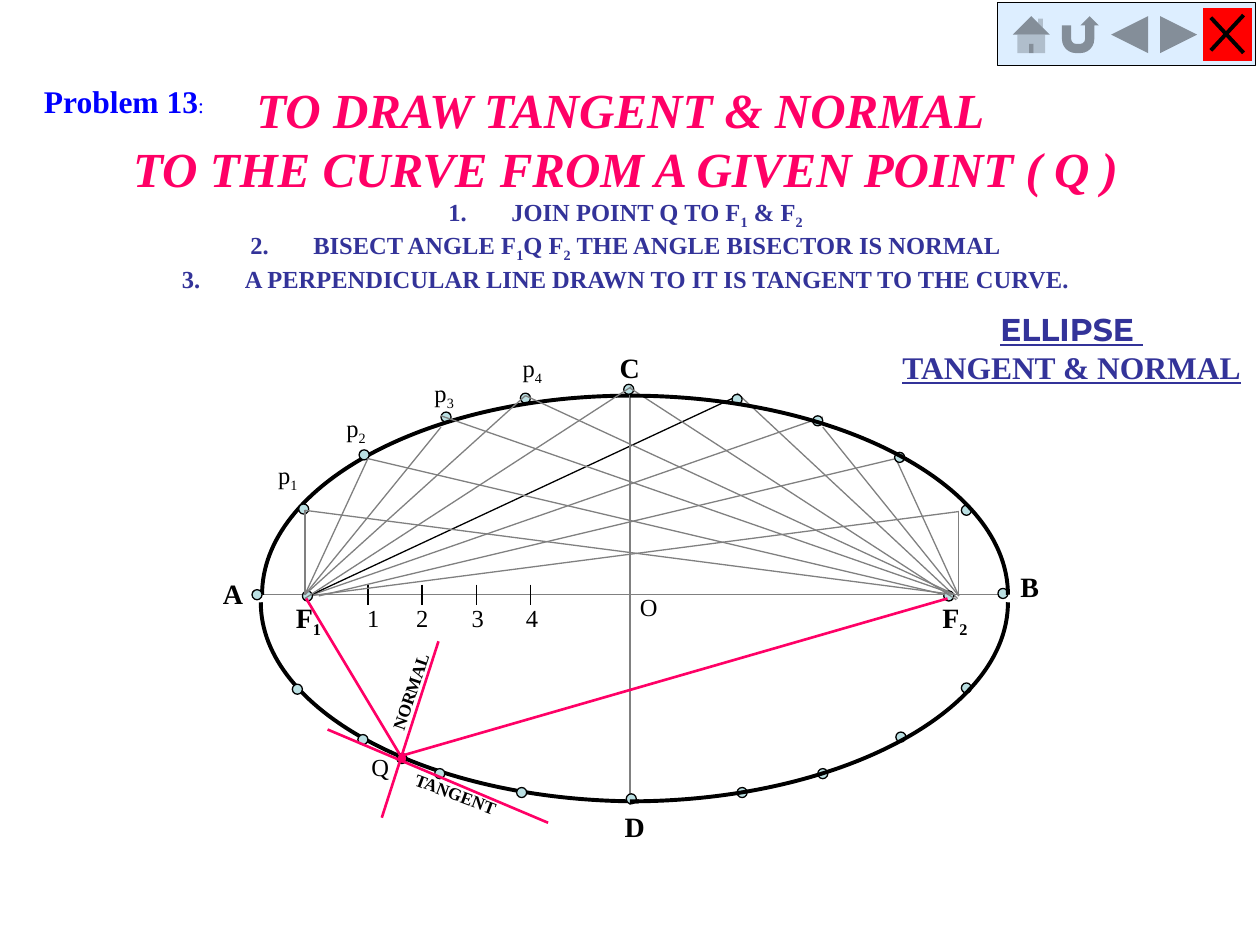
from lxml.etree import SubElement
from pptx import Presentation
from pptx.dml.color import RGBColor
from pptx.enum.shapes import MSO_CONNECTOR, MSO_SHAPE as SHAPE
from pptx.enum.text import MSO_AUTO_SIZE, PP_ALIGN
from pptx.oxml.ns import qn
from pptx.util import Inches, Pt

COLS, ROWS = 100, 75
CELL = Inches(0.1)
SERIF = "Times New Roman"
BLACK = RGBColor(0x00, 0x00, 0x00)
GRAY = RGBColor(0x80, 0x80, 0x80)
PINK = RGBColor(0xFF, 0x00, 0x66)
NAVY = RGBColor(0x33, 0x33, 0x99)
BLUE = RGBColor(0x00, 0x00, 0xFF)
AQUA = RGBColor(0xBB, 0xE0, 0xE3)
PALE = RGBColor(0xDD, 0xEE, 0xFF)
RED = RGBColor(0xFF, 0x00, 0x00)

DOT = 0.8
BEZIER = 0.55  # control arm of a quarter ellipse, as a share of its radius
Q = (31.8, 60)
# (start on the curve, end at a focus)
RIGHT_RAYS = [
    ((76.1, 47.3), (76.1, 40.6)), ((76.1, 40.6), (24.5, 47.3)),
    ((76.1, 47.3), (71.1, 36.4)), ((71.1, 36.4), (25.3, 47.3)),
    ((76.1, 47.3), (65.3, 33.9)), ((65.3, 33.1), (24.5, 47.3)),
    ((58.5, 31.2), (76, 47.5)),
]
LEFT_RAYS = [
    ((24.2, 40.5), (75.8, 47.2)), ((29.2, 36.4), (75, 47.2)),
    ((24.2, 47.2), (24.2, 40.5)), ((24.2, 47.2), (29.2, 36.4)),
    ((24.2, 47.2), (35, 33.9)), ((35, 33), (75.8, 47.2)),
    ((24.2, 47.2), (41.7, 31.4)), ((41.7, 31.4), (75.8, 47.2)),
]
TOP_RAYS = [((24.2, 47.5), (50.1, 30.7)), ((50, 30.8), (75.9, 47.6))]
DOTS_UNDER_CURVE = [(35.4, 33.1), (41.7, 31.6)]
DOTS = [
    (24.4, 47.3), (20.4, 47.2), (50.1, 63.4), (79.6, 47.1), (49.9, 30.9), (75.3, 47.3),
    (24.1, 40.4), (28.9, 36.1), (76.7, 40.5), (71.4, 36.3), (64.9, 33.4), (58.5, 31.7),
    (76.7, 54.6), (71.5, 58.5), (65.3, 61.4), (58.9, 62.9),
    (23.6, 54.7), (28.8, 58.7), (34.9, 61.4), (41.4, 62.9),
]
# (vertex on the minor axis, vertex on the major axis)
LEFT_QUARTERS = [((50, 31.4), (20.8, 47.2)), ((50.7, 63.6), (20.7, 47.8))]
RIGHT_QUARTERS = [((50, 63.6), (80, 47.8)), ((50, 31.4), (80, 47.2))]
POINT_LABELS = [
    ("A", 16.7, 45.3), ("B", 80, 44.7), ("C", 48.2, 27.3), ("D", 48.6, 63.8),
    ("F_1", 22.5, 47.2), ("F_2", 73.8, 47.2),
]
ARC_LABELS = [
    ("p_1", 21.1, 36), ("p_2", 26.5, 32.3), ("p_3", 33.5, 29.5),
    ("p_4", 40.5, 27.5), ("O", 49.8, 46.5),
]
STEPS = [
    "JOIN POINT Q TO F_1_ & F_2",
    "BISECT ANGLE F_1_Q F_2_ THE ANGLE BISECTOR IS NORMAL",
    "A PERPENDICULAR LINE DRAWN TO IT IS TANGENT TO THE CURVE.",
]


def cells(*values):
    return [round(v * CELL) for v in values]


def add_line(shapes, start, end, color=GRAY, width=0.75):
    ln = shapes.add_connector(MSO_CONNECTOR.STRAIGHT, *cells(*start, *end))
    ln.line.color.rgb = color
    ln.line.width = Pt(width)
    SubElement(ln._element.spPr, qn("a:effectLst"))


def add_preset(shapes, kind, box, fill, line_width=None):
    sp = shapes.add_shape(kind, *cells(*box))
    sp.shadow.inherit = False
    sp.fill.solid()
    sp.fill.fore_color.rgb = fill
    if line_width:
        sp.line.color.rgb = BLACK
        sp.line.width = Pt(line_width)
    else:
        sp.line.fill.background()


def add_dot(shapes, center, fill=AQUA):
    x, y = center
    add_preset(shapes, SHAPE.OVAL, (x - DOT / 2, y - DOT / 2, DOT, DOT), fill, 0.75)


def add_quarter(shapes, minor, major):
    """Draw a quarter ellipse as one cubic curve between two vertices."""
    (x0, y0), (x1, y1) = minor, major
    arm_x = x0 + BEZIER * (x1 - x0)
    arm_y = y1 + BEZIER * (y0 - y1)
    fb = shapes.build_freeform(*cells(x0, y0))
    fb.add_line_segments([cells(arm_x, y0), cells(x1, arm_y), cells(x1, y1)], close=False)
    sp = fb.convert_to_shape()
    segments = list(sp._element.iter(qn("a:lnTo")))
    curve = SubElement(segments[0].getparent(), qn("a:cubicBezTo"))
    for segment in segments:
        curve.append(segment[0])
        segment.getparent().remove(segment)
    sp.shadow.inherit = False
    sp.fill.background()
    sp.line.color.rgb = BLACK
    sp.line.width = Pt(2.25)


def add_box(shapes, box, rotation=0, wrap=False):
    tb = shapes.add_textbox(*cells(*box))
    tb.rotation = rotation
    tf = tb.text_frame
    tf.word_wrap = wrap
    tf.auto_size = MSO_AUTO_SIZE.SHAPE_TO_FIT_TEXT
    return tf


def add_runs(p, text, size, color=BLACK, bold=False, italic=False, underline=None, font=SERIF):
    """Add text in runs; every second part between underscores is a subscript."""
    for i, part in enumerate(text.split("_")):
        if not part:
            continue
        r = p.add_run()
        r.text = part
        f = r.font
        f.name, f.size, f.bold, f.italic, f.underline = font, Pt(size), bold, italic, underline
        f.color.rgb = color
        if i % 2:
            r._r.get_or_add_rPr().set("baseline", "-25000")


def add_label(shapes, text, box, size, bold=False, rotation=0):
    add_runs(add_box(shapes, box, rotation).paragraphs[0], text, size, bold=bold)


def add_tick_numbers(shapes):
    p = add_box(shapes, (28.15, 47.35, 16.6, 3.3), wrap=True).paragraphs[0]
    tabs = SubElement(p._p.get_or_add_pPr(), qn("a:tabLst"))
    for stop in (3.9, 8.3, 12.6):
        SubElement(tabs, qn("a:tab"), pos=str(cells(stop)[0]), algn="l")
    add_runs(p, "1\t2\t3\t4", 14)


def add_ellipse_figure(shapes):
    add_line(shapes, (20, 47.2), (80, 47.2))
    for x in (29.2, 33.5, 37.8, 42.1):
        add_line(shapes, (x, 46.4), (x, 48), BLACK)
    for center in DOTS_UNDER_CURVE:
        add_dot(shapes, center)
    for ray in RIGHT_RAYS:
        add_line(shapes, *ray)
    add_line(shapes, (58.6, 31.4), (24.5, 47.3), BLACK)
    for quarter in LEFT_QUARTERS:
        add_quarter(shapes, *quarter)
    add_line(shapes, (50, 30.5), (50, 63.9))
    for center in DOTS:
        add_dot(shapes, center)
    for ray in LEFT_RAYS + TOP_RAYS:
        add_line(shapes, *ray)
    for text, x, y in POINT_LABELS:
        add_label(shapes, text, (x, y, 4.1 if "_" in text else 3.6, 3.7), 16, bold=True)
    for text, x, y in ARC_LABELS:
        add_label(shapes, text, (x, y, 3.6, 3.3), 14)
    add_tick_numbers(shapes)
    for quarter in RIGHT_QUARTERS:
        add_quarter(shapes, *quarter)


def add_tangent_and_normal(shapes):
    add_dot(shapes, (31.9, 60.2), PINK)
    add_label(shapes, "Q", (28.5, 59.2, 3.4, 3.3), 14)
    for start, end in (
        ((24.3, 47.5), Q), (Q, (75.2, 47.5)),
        ((30.3, 64.9), (34.8, 50.9)), ((26, 57.9), (43.5, 65.3)),
    ):
        add_line(shapes, start, end, PINK, 1.5)
    add_label(shapes, "TANGENT", (31.8, 61.7, 8.9, 2.7), 10, True, 20.7)
    add_label(shapes, "NORMAL", (28.4, 53.5, 8.4, 2.7), 10, True, 288.8)


def add_title_and_steps(shapes):
    tf = add_box(shapes, (9.3, 5.8, 80.7, 17.3))
    titles = ["TO DRAW TANGENT & NORMAL ", "TO THE CURVE FROM A GIVEN POINT ( Q )"]
    for i, text in enumerate(titles + STEPS):
        p = tf.paragraphs[0] if i == 0 else tf.add_paragraph()
        p.alignment = PP_ALIGN.CENTER
        pPr = p._p.get_or_add_pPr()
        pPr.set("marL", str(Inches(0.5)))
        pPr.set("indent", str(-Inches(0.5)))
        if text in STEPS:
            SubElement(pPr, qn("a:buAutoNum"), type="arabicPeriod")
            add_runs(p, text, 14, NAVY, bold=True)
        else:
            add_runs(p, text, 28, PINK, bold=True, italic=True)


def add_headings(shapes):
    tf = add_box(shapes, (70.5, 24.15, 29.1, 7))
    for p, text, font in (
        (tf.paragraphs[0], "ELLIPSE ", "Montserrat"),
        (tf.add_paragraph(), "TANGENT & NORMAL", SERIF),
    ):
        p.alignment = PP_ALIGN.CENTER
        add_runs(p, text, 18, NAVY, bold=True, underline=True, font=font)
    p = add_box(shapes, (2.5, 6, 14.8, 4)).paragraphs[0]
    add_runs(p, "Problem 13", 18, BLUE, bold=True)
    add_runs(p, ":", 12, BLUE)


def add_navigation(shapes):
    add_preset(shapes, SHAPE.ACTION_BUTTON_CUSTOM, (79.15, 0.2, 20.5, 5), PALE, 0.5)
    buttons = [
        SHAPE.ACTION_BUTTON_HOME, SHAPE.ACTION_BUTTON_RETURN,
        SHAPE.ACTION_BUTTON_BACK_OR_PREVIOUS, SHAPE.ACTION_BUTTON_FORWARD_OR_NEXT,
        SHAPE.ACTION_BUTTON_CUSTOM,
    ]
    for i, kind in enumerate(buttons):
        fill = RED if i == len(buttons) - 1 else PALE
        add_preset(shapes, kind, (79.9 + 3.9 * i, 0.65, 3.9, 4.2), fill)
    add_line(shapes, (96.1, 1.4), (98.7, 4.2), BLACK, 2.25)
    add_line(shapes, (98.7, 1.2), (96.1, 4), BLACK, 2.25)


def main():
    prs = Presentation()
    prs.slide_width, prs.slide_height = cells(COLS, ROWS)
    s = prs.slides.add_slide(prs.slide_layouts[6])
    add_ellipse_figure(s.shapes.add_group_shape().shapes)
    add_tangent_and_normal(s.shapes)
    add_title_and_steps(s.shapes)
    add_headings(s.shapes)
    add_navigation(s.shapes.add_group_shape().shapes)
    prs.save("out.pptx")


if __name__ == "__main__":
    main()
